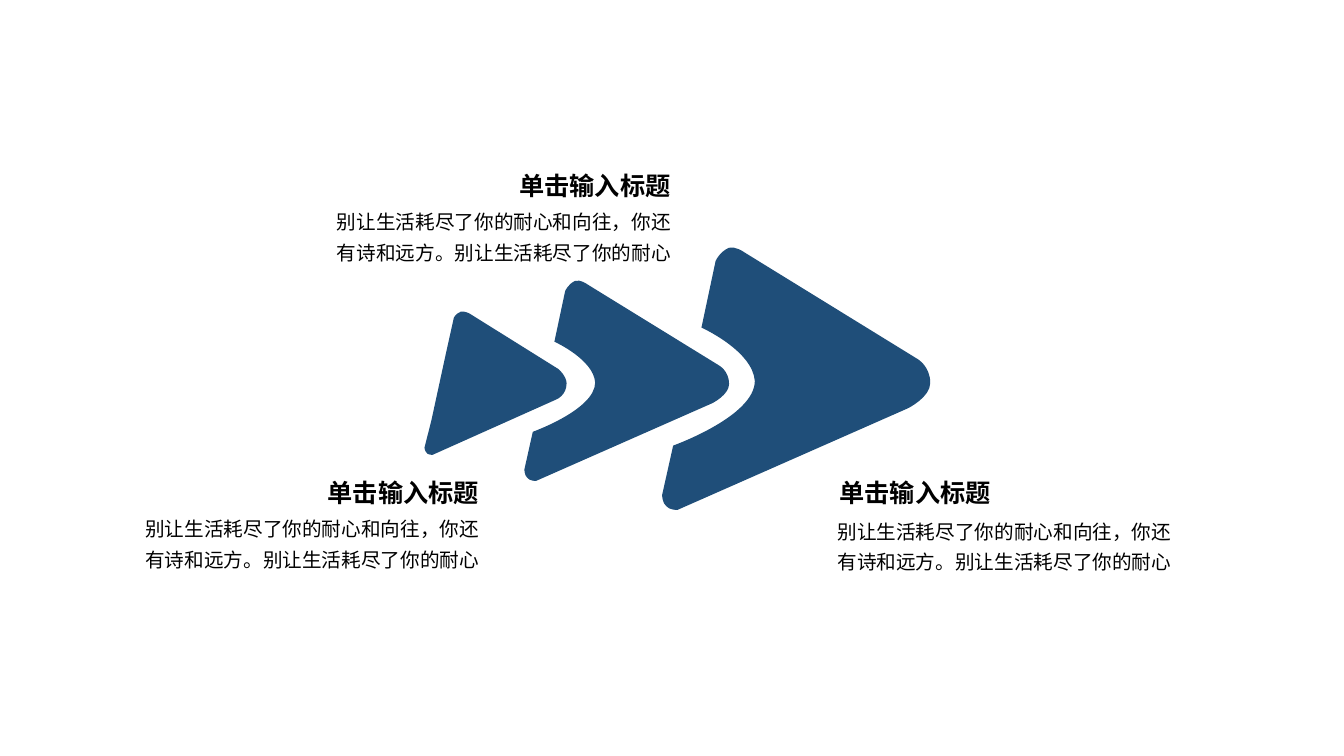
from dataclasses import dataclass

from lxml import etree
from pptx import Presentation
from pptx.dml.color import RGBColor
from pptx.enum import text as txt
from pptx.oxml.ns import qn
from pptx.util import Pt


@dataclass(frozen=True)
class Theme:
    arrow: RGBColor = RGBColor(0x1F, 0x4E, 0x79)
    ink: RGBColor = RGBColor(0, 0, 0)
    font: str = "Noto Sans CJK JP"
    title_size: int = 18
    body_size: int = 14


THEME = Theme()
LEFT, RIGHT = txt.PP_ALIGN.LEFT, txt.PP_ALIGN.RIGHT
TITLE = "单击输入标题"
BODY = "别让生活耗尽了你的耐心和向往，你还有诗和远方。别让生活耗尽了你的耐心"
TITLE_BOX = (176.4, 31)
BODY_BOX = (265, 49)

# Outlines in points: "line" to a point, or a curve with one free handle,
# which shapes either its "start" or its "end".
TIP = [
    ("line", (21, 5)),
    ("end", (22.3, 2.1), (25.9, 0.7)),
    ("start", (28.8, 0), (32.4, 2.1)),
    ("line", (95.8, 41.7)),
    ("end", (101.5, 46.8), (101.5, 51.8)),
    ("start", (101.5, 60.4), (94.3, 63.3)),
    ("line", (5.8, 102.9)),
    ("end", (2.9, 102.9), (2.2, 102.2)),
    ("start", (0, 100), (0, 97.9)),
    ("line", (5.1, 77.7)),
    ("line", (15.1, 31.6)),
]
CHEVRON = [
    ("line", (191.5, 97.9)),
    ("start", (191.5, 108), (175.7, 115.9)),
    ("line", (10.8, 188.6)),
    ("end", (5, 188.6), (2.9, 185.8)),
    ("start", (0, 183.6), (0, 177.8)),
    ("line", (7.9, 142.6)),
    ("end", (66.2, 121.7), (66.2, 96.5)),
    ("start", (64.8, 74.9), (28.1, 58.3)),
    ("line", (38.2, 10.8)),
    ("end", (41, 4.3), (47.5, 1.4)),
    ("start", (52.6, 0), (58.3, 4.3)),
    ("line", (182.2, 80.6)),
    ("end", (191.5, 85.7), (191.5, 97.9)),
]

# Outline, left, top, width
ARROWS = [
    (TIP, 303.2, 222, 101.5),
    (CHEVRON, 473, 175.7, 191.5),
    (CHEVRON, 374.6, 199.6, 146.2),
]
# Title position, body position, title alignment, body alignment
CAPTIONS = [
    ((592.6, 333.4), (578.9, 362.7), LEFT, RIGHT),
    ((309.6, 113.8), (221.4, 141.4), RIGHT, RIGHT),
    ((172.8, 333.4), (84.5, 360.7), RIGHT, RIGHT),
]


def outline_points(outline):
    """End points in order, each curve's two handles before its end."""
    points = []
    for kind, *coords in outline:
        if kind == "start":
            coords = [coords[0], coords[1], coords[1]]
        elif kind == "end":
            coords = [points[-1], *coords]
        points.extend(coords)
    return points


def bend_curves(arrow, outline):
    """Join the three line segments of each curve into one cubic segment."""
    segments = arrow._element.iter(qn("a:lnTo"))
    segments = iter(list(segments))
    for kind, *_ in outline[1:]:
        segment = next(segments)
        if kind != "line":
            segment.tag = qn("a:cubicBezTo")
            for _ in range(2):
                extra = next(segments)
                segment.append(extra[0])
                extra.getparent().remove(extra)


def add_arrow(parent, outline, left, top, width):
    corners = outline_points(outline)
    scale = width / max(x for x, _ in corners)
    points = [(Pt(left + x * scale), Pt(top + y * scale)) for x, y in corners]
    builder = parent.shapes.build_freeform(*points[0])
    builder.add_line_segments(points[1:], close=False)
    arrow = builder.convert_to_shape()
    replace_segments(arrow, outline)
    arrow.shadow.inherit = False
    arrow.fill.solid()
    arrow.fill.fore_color.rgb = THEME.arrow
    arrow.line.fill.background()


def replace_segments(arrow, outline):
    """Turn the drawn points into curves and close the outline."""
    start = next(arrow._element.iter(qn("a:moveTo")))
    frame = start.getparent()
    knots = [segment[0] for segment in frame.findall(qn("a:lnTo"))]
    for segment in frame.findall(qn("a:lnTo")):
        frame.remove(segment)
    knots = iter(knots)
    for kind, *_ in outline[1:]:
        name, count = ("a:lnTo", 1) if kind == "line" else ("a:cubicBezTo", 3)
        segment = etree.SubElement(frame, qn(name))
        for _ in range(count):
            segment.append(next(knots))
    etree.SubElement(frame, qn("a:close"))


def add_text(parent, words, *, position, box, size, spacing, align, bold=False):
    area = parent.shapes.add_textbox(*map(Pt, position + box))
    frame = area.text_frame
    frame.word_wrap = True
    frame.auto_size = txt.MSO_AUTO_SIZE.SHAPE_TO_FIT_TEXT
    paragraph = frame.paragraphs[0]
    paragraph.alignment = align
    paragraph.line_spacing = spacing
    run = paragraph.add_run()
    run.text = words
    run.font.size = Pt(size)
    run.font.bold = bold
    run.font.color.rgb = THEME.ink
    run.font.name = THEME.font
    # East Asian typeface
    etree.SubElement(run._r.get_or_add_rPr(), qn("a:ea"), typeface=THEME.font)


def add_caption(slide, title_at, body_at, title_align, body_align):
    caption = slide.shapes.add_group_shape()
    add_text(caption, BODY, position=body_at, box=BODY_BOX,
             size=THEME.body_size, spacing=1.3, align=body_align)
    add_text(caption, TITLE, position=title_at, box=TITLE_BOX,
             size=THEME.title_size, spacing=1.2, align=title_align, bold=True)


def main():
    deck = Presentation()
    deck.slide_width, deck.slide_height = Pt(960), Pt(540)
    slide = deck.slides.add_slide(deck.slide_layouts[6])

    # Three growing arrows
    arrows = slide.shapes.add_group_shape()
    for arrow in ARROWS:
        add_arrow(arrows, *arrow)

    # Captions around them
    for caption in CAPTIONS:
        add_caption(slide, *caption)

    deck.save("out.pptx")


if __name__ == "__main__":
    main()
